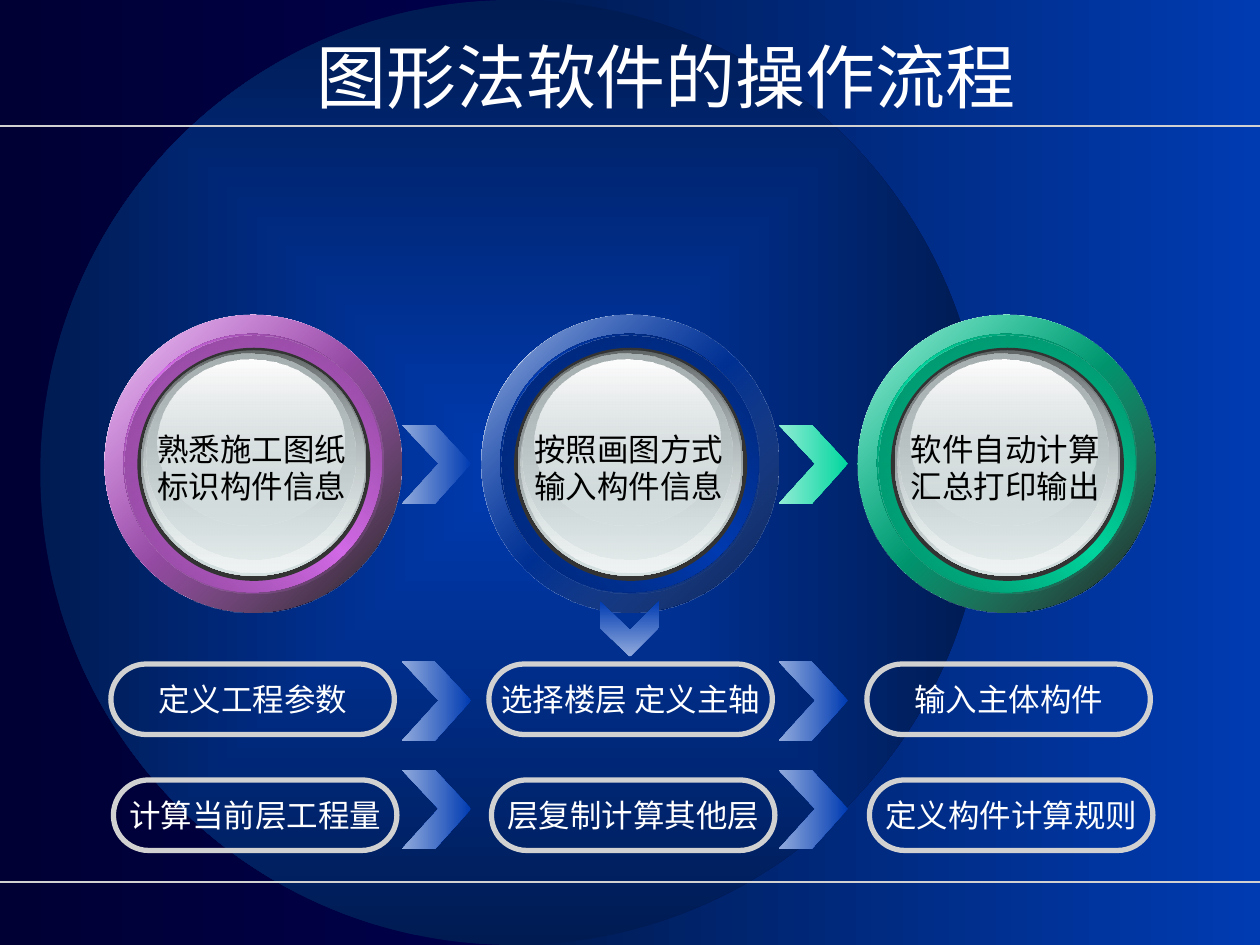
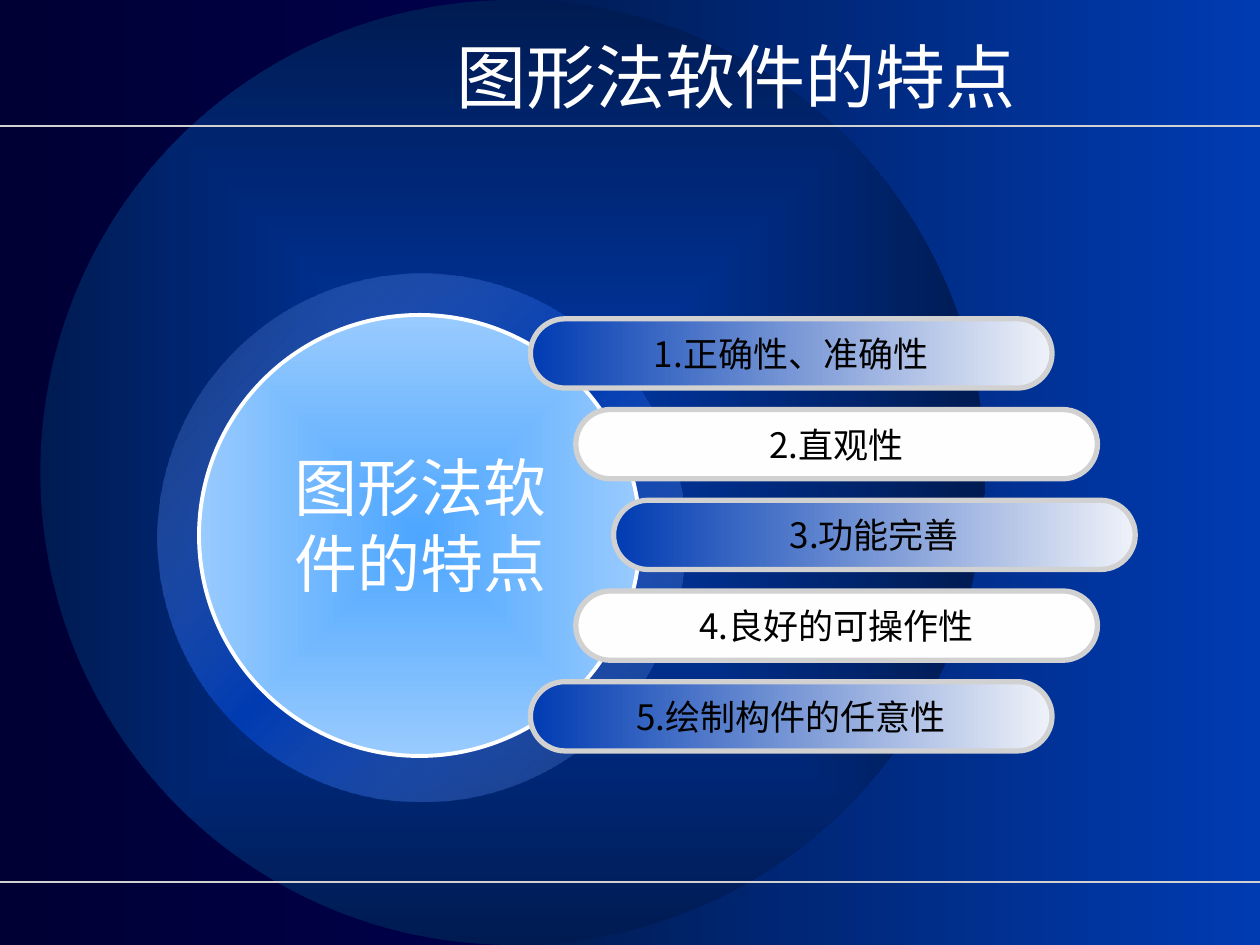
from lxml.etree import SubElement
from pptx import Presentation
from pptx.dml.color import RGBColor
from pptx.enum.shapes import MSO_CONNECTOR, MSO_SHAPE
from pptx.enum.text import MSO_ANCHOR, MSO_AUTO_SIZE, PP_ALIGN
from pptx.oxml import parse_xml
from pptx.oxml.ns import nsdecls, qn
from pptx.util import Inches, Pt

BLUE, NAVY, PALE_BLUE = "003BB2", "001B52", "92ABDD"
GREEN, PALE_GREEN, PURPLE = "00D69E", "92ECD5", "D46AE8"
WHITE, OFF_WHITE, BLACK = "FFFFFF", "FEFEFE", "000000"
GREY, SILVER, MIST = "D1D1D1", "D6E1E2", "EFF2F9"
CJK = "Noto Sans CJK SC"


def style(shape, stops=(), angle=None, border=None, width=0):
    """Fill with evenly spaced stops ("RRGGBB" or "RRGGBB@opacity"); no angle gives a centred gradient."""
    shape.shadow.inherit = False
    if border:
        shape.line.color.rgb = RGBColor.from_string(border)
        shape.line.width = Pt(width)
    else:
        shape.line.fill.background()
    if not stops:
        shape.fill.background()
        return
    shape.fill.solid()
    shape.fill.fore_color.rgb = RGBColor.from_string(stops[0][:6])
    if len(stops) == 1:
        return
    gradient = parse_xml(f'<a:gradFill {nsdecls("a")} rotWithShape="1"><a:gsLst/></a:gradFill>')
    for index, stop in enumerate(stops):
        value, _, opacity = stop.partition("@")
        position = SubElement(gradient[0], qn("a:gs"), pos=str(index * 100000 // (len(stops) - 1)))
        colour = SubElement(position, qn("a:srgbClr"), val=value)
        if opacity:
            SubElement(colour, qn("a:alpha"), val=str(int(opacity) * 1000))
    if angle is None:
        centre = SubElement(gradient, qn("a:path"), path="rect")
        SubElement(centre, qn("a:fillToRect"), l="50000", t="50000", r="50000", b="50000")
    else:
        SubElement(gradient, qn("a:lin"), ang=str(angle * 60000), scaled="0")
    properties = shape.element.spPr
    properties.replace(properties.find(qn("a:solidFill")), gradient)


def write(shape, text, size, font, colour, align=PP_ALIGN.CENTER, wrap=False):
    frame = shape.text_frame
    frame.text = text
    frame.word_wrap = wrap
    frame.auto_size = MSO_AUTO_SIZE.NONE
    frame.vertical_anchor = MSO_ANCHOR.MIDDLE
    for para in frame.paragraphs:
        para.alignment = align
        para.font.size = Pt(size)
        para.font.name = font
        para.font.color.rgb = RGBColor.from_string(colour)


deck = Presentation()
deck.slide_width, deck.slide_height = Inches(10), Inches(7.5)
master = deck.slide_master

# Shared title
pages = []
for heading in ["图形法软件的操作流程", "图形法软件的特点"]:
    page = deck.slides.add_slide(deck.slide_layouts[5])
    title = page.shapes.title
    title.left, title.top = Inches(0.33), Inches(0.14)
    title.width, title.height = Inches(7.83), Inches(0.92)
    write(title, heading, 40, "Arial", WHITE, PP_ALIGN.RIGHT, True)
    pages.append(page)
flow, features = pages

# Shared background, moved to the master once drawn
background = master.background.fill
background.gradient()
background.gradient_angle = 180
for stop, colour in zip(background.gradient_stops, ["000072", "000034"]):
    stop.color.rgb = RGBColor.from_string(colour)

panel = flow.shapes.add_shape(MSO_SHAPE.RECTANGLE, Inches(4.08), 0, Inches(5.92), Inches(7.5))
style(panel, [BLUE, NAVY], 180)
disc = flow.shapes.add_shape(MSO_SHAPE.OVAL, Inches(0.32), 0, Inches(7.5), Inches(7.5))
style(disc, [BLUE, NAVY])
decor = [panel, disc]
for y in (1, 7):
    rule = flow.shapes.add_connector(MSO_CONNECTOR.STRAIGHT, 0, Inches(y), Inches(10), Inches(y))
    rule.line.color.rgb = RGBColor.from_string(GREY)
    rule.line.width = Pt(1)
    SubElement(rule.element.spPr, qn("a:effectLst"))
    decor.append(rule)
for index, item in enumerate(decor):
    item.element.xpath(".//p:cNvPr")[0].set("id", str(100 + index))
    master.shapes.element.insert(2 + index, item.element)

# Flow: three glossy orbs
COLUMN_STEP = 2.99
orbs = [
    (PURPLE, BLACK, "72397D", "864392", "熟悉施工图纸\n标识构件信息"),
    (BLUE, NAVY, "001F5F", "002570", "按照画图方式\n输入构件信息"),
    (GREEN, BLACK, "007355", "008763", "软件自动计算\n汇总打印输出"),
]
for column, (colour, shade, dark, middle, caption) in enumerate(orbs):
    left, top = 0.83 + column * COLUMN_STEP, 2.5
    layers = [
        (0, 0, 2.36, 2.36, [OFF_WHITE, colour, OFF_WHITE], 225),
        (0, 0, 2.36, 2.36, [f"{shade}@90" if shade == BLACK else shade, f"{colour}@32"], 225),
        (0.15, 0.15, 2.05, 2.05, [dark, colour, dark], 135),
        (0.16, 0.16, 2.05, 2.05, [f"{colour}@0", middle], 225),
        (0.26, 0.26, 1.85, 1.85, ["333333"], None),
        (0.29, 0.28, 1.79, 1.79, ["626768", SILVER], 90),
        (0.31, 0.29, 1.75, 1.75, [f"{SILVER}@0", "EFF3F3"], 90),
        (0.33, 0.31, 1.66, 1.63, ["A8B1B2", f"{SILVER}@48"], 90),
        (0.42, 0.35, 1.48, 1.32, [OFF_WHITE, f"{SILVER}@38"], 90),
    ]
    for x, y, width, height, stops, angle in layers:
        layer = flow.shapes.add_shape(
            MSO_SHAPE.OVAL, Inches(left + x), Inches(top + y), Inches(width), Inches(height))
        style(layer, stops, angle)
    box = flow.shapes.add_textbox(Inches(left + 0.32), Inches(3.36), Inches(1.7), Inches(0.7))
    write(box, caption, 18, "Arial", BLACK)

# Flow: chevrons between the columns, and one pointing down
right_chevron = [(0, 0), (0.26, 0), (0.55, 0.31), (0.26, 0.63), (0, 0.63), (0.29, 0.31)]
down_chevron = [(0.47, 0), (0.47, 0.21), (0.24, 0.44), (0, 0.21), (0, 0), (0.24, 0.23)]
chevrons = [(4.76, 4.77, down_chevron, [BLUE, PALE_BLUE], 90)]
for top in (3.37, 5.25, 6.11):
    for left in (3.19, 6.18):
        stops = [GREEN, PALE_GREEN] if (left, top) == (6.18, 3.37) else [BLUE, PALE_BLUE]
        chevrons.append((left, top, right_chevron, stops, 180))
for left, top, outline, stops, angle in chevrons:
    points = [(Inches(left + x), Inches(top + y)) for x, y in outline]
    builder = flow.shapes.build_freeform(*points[0])
    builder.add_line_segments(points[1:], close=True)
    style(builder.convert_to_shape(), stops, angle)

# Flow: two rows of steps
steps = [
    ["定义工程参数", "选择楼层 定义主轴", "输入主体构件"],
    ["计算当前层工程量", "层复制计算其他层", "定义构件计算规则"],
]
for row, labels in enumerate(steps):
    for column, label in enumerate(labels):
        pill = flow.shapes.add_shape(
            MSO_SHAPE.ROUNDED_RECTANGLE, Inches(0.88 + 3 * column + 0.02 * row),
            Inches(5.27 + 0.92 * row), Inches(2.25), Inches(0.56))
        pill.adjustments[0] = 0.5
        style(pill, border=GREY, width=3)
        write(pill, label, 18, CJK if "选择" in label else "DejaVu Sans", WHITE)

# Features: hub circle with its halo
halo = features.shapes.add_shape(
    MSO_SHAPE.DONUT, Inches(1.25), Inches(2.17), Inches(4.19), Inches(4.19))
halo.adjustments[0] = 0.09
style(halo, ["6387CF@12", BLUE, "6387CF@12"], 225)
hub = features.shapes.add_shape(
    MSO_SHAPE.OVAL, Inches(1.58), Inches(2.5), Inches(3.5), Inches(3.5))
style(hub, ["4DA6FF", "99CBFE"], border=WHITE, width=2.25)

# Features: five bars around the hub
bars = [
    (4.21, "1.正确性、准确性"),
    (4.57, "2.直观性"),
    (4.87, "3.功能完善"),
    (4.57, "4.良好的可操作性"),
    (4.21, "5.绘制构件的任意性"),
]
for index, (left, label) in enumerate(bars):
    bar = features.shapes.add_shape(
        MSO_SHAPE.ROUNDED_RECTANGLE, Inches(left), Inches(2.53 + 0.72 * index),
        Inches(4.14), Inches(0.55))
    bar.adjustments[0] = 0.5
    style(bar, [OFF_WHITE, WHITE] if index % 2 else [MIST, BLUE], 180, GREY, 3)
    write(bar, label, 20, CJK, BLACK)

hub_label = features.shapes.add_textbox(Inches(2.24), Inches(3.51), Inches(2.2), Inches(1.3))
write(hub_label, "图形法软\n件的特点", 36, "Arial", WHITE)
for para in hub_label.text_frame.paragraphs:
    for span in para.runs:
        effects = SubElement(span._r.get_or_add_rPr(), qn("a:effectLst"))
        shadow = SubElement(effects, qn("a:outerShdw"), dist="35921", dir="2700000")
        SubElement(shadow, qn("a:srgbClr"), val=BLACK)

deck.save("out.pptx")
